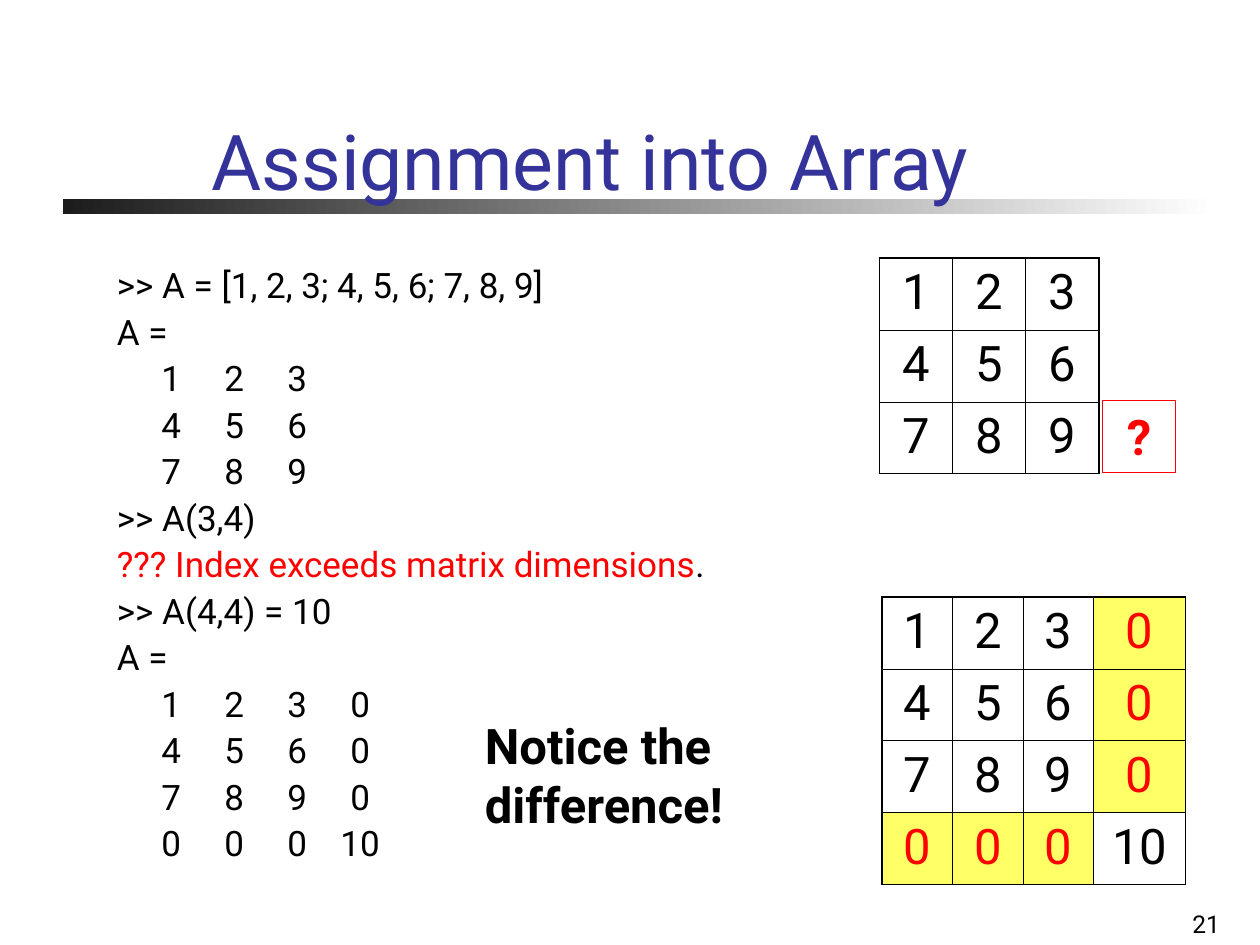
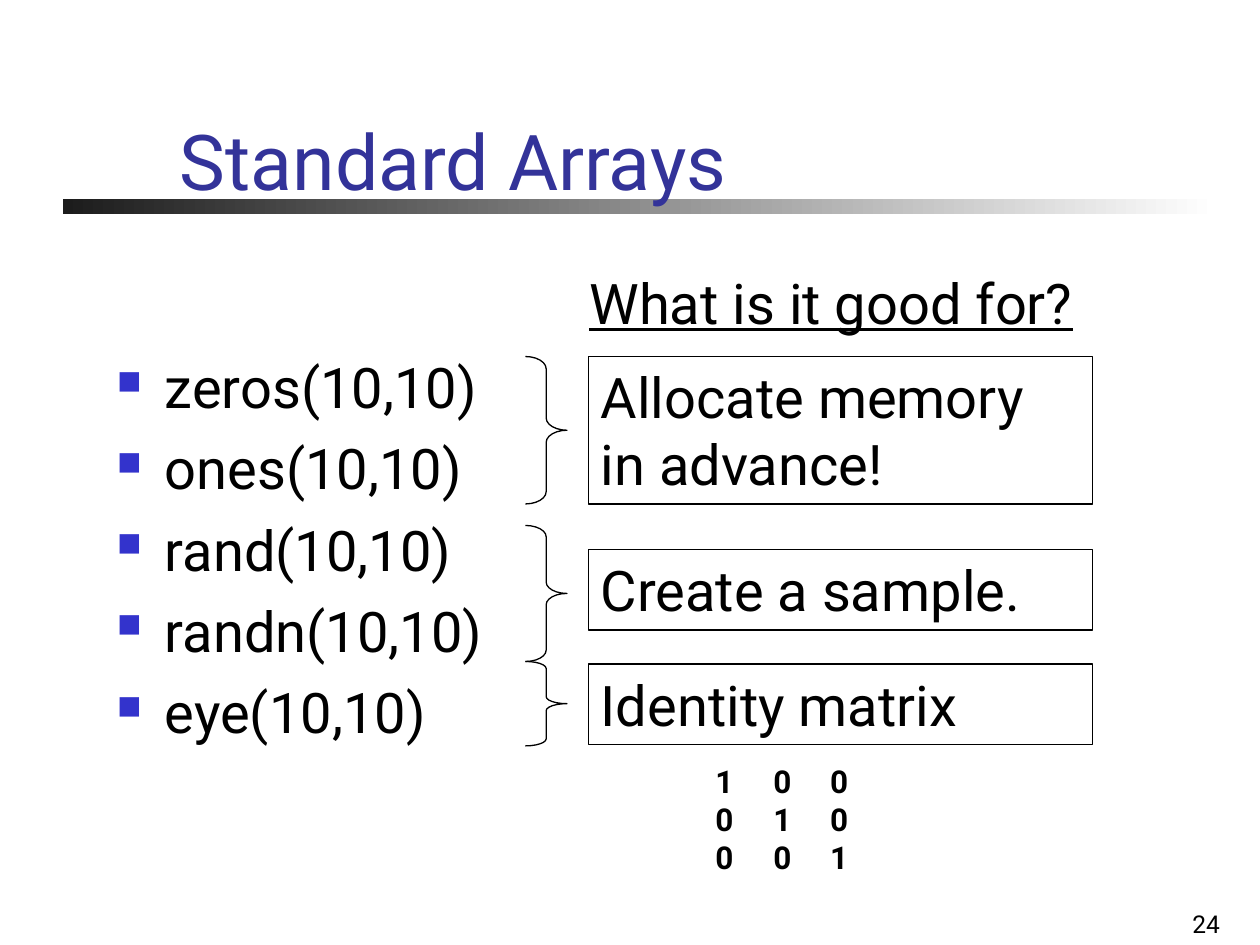
"""Build two lecture slides on array assignment and standard arrays."""
from dataclasses import dataclass

from lxml.etree import SubElement
from pptx import Presentation
from pptx.dml.color import RGBColor
from pptx.enum.shapes import MSO_SHAPE
from pptx.enum.text import MSO_ANCHOR, PP_ALIGN
from pptx.oxml.ns import qn
from pptx.presentation import Presentation as Deck
from pptx.shapes.base import BaseShape
from pptx.slide import Slide
from pptx.table import _Cell
from pptx.text.text import _Paragraph
from pptx.util import Inches, Pt


@dataclass(frozen=True)
class Theme:
    font: str = "Roboto"
    ink: str = "000000"
    title: str = "333399"
    bullet: str = "3333CC"
    alert: str = "FF0000"
    highlight: str = "FFFF66"
    band_start: str = "1C1C1C"
    band_end: str = "FFFFFF"
    title_size: int = 44
    large_size: int = 32
    medium_size: int = 28
    code_size: int = 20
    small_size: int = 18
    number_size: int = 14
    thin_line: float = 0.45
    box_line: float = 0.75
    frame_line: float = 1.08


@dataclass(frozen=True)
class Area:
    left: float
    top: float
    width: float
    height: float

    def lengths(self) -> list[int]:
        return [Inches(n) for n in (self.left, self.top, self.width, self.height)]


@dataclass(frozen=True)
class TextStyle:
    size: int
    color: str = "000000"
    bold: bool = False
    underline: bool = False
    align: PP_ALIGN = PP_ALIGN.LEFT
    anchor: MSO_ANCHOR = MSO_ANCHOR.TOP
    space: float = 0
    line_spacing: float = 1.0
    bullet: bool = False
    tabs: tuple[float, ...] = ()
    tab_align: str = "l"


@dataclass(frozen=True)
class Purpose:
    text: str
    box_top: float
    box_height: float
    brace_top: float
    brace_height: float


THEME = Theme()
TITLE = TextStyle(THEME.title_size, THEME.title, anchor=MSO_ANCHOR.BOTTOM)
NUMBER = TextStyle(THEME.number_size, align=PP_ALIGN.RIGHT, anchor=MSO_ANCHOR.BOTTOM)
CONSOLE = TextStyle(THEME.code_size, space=5, line_spacing=0.9,
                    tabs=(0.43, 0.93, 1.43, 1.93), tab_align="ctr")
CELL = TextStyle(THEME.medium_size, align=PP_ALIGN.CENTER)
NEW_CELL = TextStyle(THEME.medium_size, THEME.alert, align=PP_ALIGN.CENTER)
MISSING = TextStyle(THEME.medium_size, THEME.alert, bold=True, align=PP_ALIGN.CENTER)
REMARK = TextStyle(THEME.medium_size, bold=True)
LARGE = TextStyle(THEME.large_size)
HEADING = TextStyle(THEME.large_size, underline=True)
BULLETS = TextStyle(THEME.large_size, space=8, bullet=True)
IDENTITY = TextStyle(THEME.small_size, bold=True, tabs=(0.46, 0.91))

START_MATRIX = ["123", "456", "789"]
GROWN_MATRIX = [[*row, "0"] for row in START_MATRIX] + [["0", "0", "0", "10"]]
ERROR = "??? Index exceeds matrix dimensions"
PURPOSES = [
    Purpose("Allocate memory in advance!", 2.83, 1.17, 2.83, 1.17),
    Purpose("Create a sample.", 4.36, 0.64, 4.17, 1.08),
    Purpose("Identity matrix", 5.27, 0.64, 5.25, 0.67),
]


def rgb(color: str) -> RGBColor:
    return RGBColor.from_string(color)


def add_bullet(para: _Paragraph) -> None:
    properties = para._p.get_or_add_pPr()
    properties.set("marL", str(Inches(0.38)))
    properties.set("indent", str(-Inches(0.38)))
    color = SubElement(properties, qn("a:buClr"))
    SubElement(color, qn("a:srgbClr"), val=THEME.bullet)
    SubElement(properties, qn("a:buSzPct"), val="60000")
    SubElement(properties, qn("a:buChar"), char="■")


def add_tabs(para: _Paragraph, style: TextStyle) -> None:
    stops = SubElement(para._p.get_or_add_pPr(), qn("a:tabLst"))
    for stop in style.tabs:
        SubElement(stops, qn("a:tab"), pos=str(Inches(stop)), algn=style.tab_align)


def style_paragraph(para: _Paragraph, style: TextStyle) -> None:
    if style.bullet:
        add_bullet(para)
    if style.tabs:
        add_tabs(para, style)
    para.alignment = style.align
    para.line_spacing = style.line_spacing
    font = para.font
    font.name, font.size, font.bold = THEME.font, Pt(style.size), style.bold
    font.underline = style.underline
    font.color.rgb = rgb(style.color)


def write(holder: BaseShape | _Cell, lines: list[str], style: TextStyle) -> None:
    frame = holder.text_frame
    frame.word_wrap = True
    frame.vertical_anchor = style.anchor
    for index, line in enumerate(lines):
        para = frame.add_paragraph() if index else frame.paragraphs[0]
        para.add_run().text = line
        style_paragraph(para, style)
        para.space_before = Pt(style.space if index else 0)


def add_text(page: Slide, area: Area, lines: list[str], style: TextStyle) -> BaseShape:
    box = page.shapes.add_textbox(*area.lengths())
    write(box, lines, style)
    return box


def add_outline(page: Slide, kind: MSO_SHAPE, area: Area, color: str) -> BaseShape:
    outline = page.shapes.add_shape(kind, *area.lengths())
    outline.shadow.inherit = False
    outline.fill.background()
    outline.line.color.rgb = rgb(color)
    outline.line.width = Pt(THEME.box_line)
    return outline


def add_framed_text(page: Slide, area: Area, text: str, style: TextStyle, color: str) -> None:
    write(add_outline(page, MSO_SHAPE.RECTANGLE, area, color), [text], style)


def add_brace(page: Slide, area: Area) -> None:
    brace = add_outline(page, MSO_SHAPE.RIGHT_BRACE, area, THEME.ink)
    brace.adjustments[0] = area.height / 12 / min(area.width, area.height)


def set_borders(cell: _Cell, outer_sides: dict[str, bool]) -> None:
    for side, is_outer in outer_sides.items():
        width = Pt(THEME.frame_line if is_outer else THEME.thin_line)
        line = SubElement(cell._tc.get_or_add_tcPr(), qn(f"a:ln{side}"), w=str(width))
        fill = SubElement(line, qn("a:solidFill"))
        SubElement(fill, qn("a:srgbClr"), val=THEME.ink)


def add_matrix(page: Slide, left: float, top: float, widths: list[float], rows: list) -> None:
    row_height = 0.57
    area = Area(left, top, sum(widths), row_height * len(rows))
    table = page.shapes.add_table(len(rows), len(widths), *area.lengths()).table
    table.first_row = table.horz_banding = False
    for column, width in zip(table.columns, widths):
        column.width = Inches(width)
    for row_index, row in enumerate(rows):
        table.rows[row_index].height = Inches(row_height)
        for column_index, value in enumerate(row):
            cell = table.cell(row_index, column_index)
            set_borders(cell, {"L": column_index == 0, "R": column_index == len(row) - 1,
                               "T": row_index == 0, "B": row_index == len(rows) - 1})
            is_new = value == "0"
            write(cell, [value], NEW_CELL if is_new else CELL)
            if is_new:
                cell.fill.solid()
                cell.fill.fore_color.rgb = rgb(THEME.highlight)
            else:
                cell.fill.background()


def add_page(deck: Deck, title: str, title_left: float, number: int) -> Slide:
    page = deck.slides.add_slide(deck.slide_layouts[6])
    band = page.shapes.add_shape(MSO_SHAPE.RECTANGLE, *Area(0.5, 1.58, 9.16, 0.12).lengths())
    band.shadow.inherit = False
    band.line.fill.background()
    band.fill.gradient()
    band.fill.gradient_angle = 0
    for stop, color in zip(band.fill.gradient_stops, (THEME.band_start, THEME.band_end)):
        stop.color.rgb = rgb(color)
    add_text(page, Area(7.7, 7.17, 2.08, 0.33), [str(number)], NUMBER)
    add_text(page, Area(title_left, 0.08, 8, 1.6), [title], TITLE)
    return page


def matrix_lines(rows: list) -> list[str]:
    return ["\t" + "\t".join(row) for row in rows]


def build_assignment(deck: Deck) -> None:
    page = add_page(deck, "Assignment into Array", 1.58, 21)
    lines = [">> A = [1, 2, 3; 4, 5, 6; 7, 8, 9]", "A =", *matrix_lines(START_MATRIX),
             ">> A(3,4)", ERROR, ">> A(4,4) = 10", "A =", *matrix_lines(GROWN_MATRIX)]
    console = add_text(page, Area(0.83, 2.08, 8.5, 5), lines, CONSOLE)
    error_para = console.text_frame.paragraphs[lines.index(ERROR)]
    error_para.runs[0].font.color.rgb = rgb(THEME.alert)
    error_para.add_run().text = "."
    add_matrix(page, 6.98, 2.05, [0.58] * 3, START_MATRIX)
    add_matrix(page, 7, 4.74, [0.56] * 3 + [0.73], GROWN_MATRIX)
    add_framed_text(page, Area(8.75, 3.18, 0.58, 0.57), "?", MISSING, THEME.alert)
    add_text(page, Area(3.75, 5.63, 2.5, 1.04), ["Notice the difference!"], REMARK)


def build_standard_arrays(deck: Deck) -> None:
    page = add_page(deck, "Standard Arrays", 1.33, 24)
    functions = [f"{name}(10,10)" for name in ("zeros", "ones", "rand", "randn", "eye")]
    add_text(page, Area(0.83, 2.75, 4.17, 3.75), functions, BULLETS)
    add_text(page, Area(4.58, 2.08, 4.17, 0.83), ["What is it good for?"], HEADING)
    for purpose in PURPOSES:
        add_brace(page, Area(4.17, purpose.brace_top, 0.33, purpose.brace_height))
        add_framed_text(page, Area(4.67, purpose.box_top, 4, purpose.box_height),
                        purpose.text, LARGE, THEME.ink)
    identity = ["\t".join("1" if row == column else "0" for column in range(3))
                for row in range(3)]
    add_text(page, Area(5.58, 6, 2.08, 1), identity, IDENTITY)


def main() -> None:
    deck = Presentation()
    deck.slide_width, deck.slide_height = Inches(10), Inches(7.5)
    build_assignment(deck)
    build_standard_arrays(deck)
    deck.save("out.pptx")


if __name__ == "__main__":
    main()
